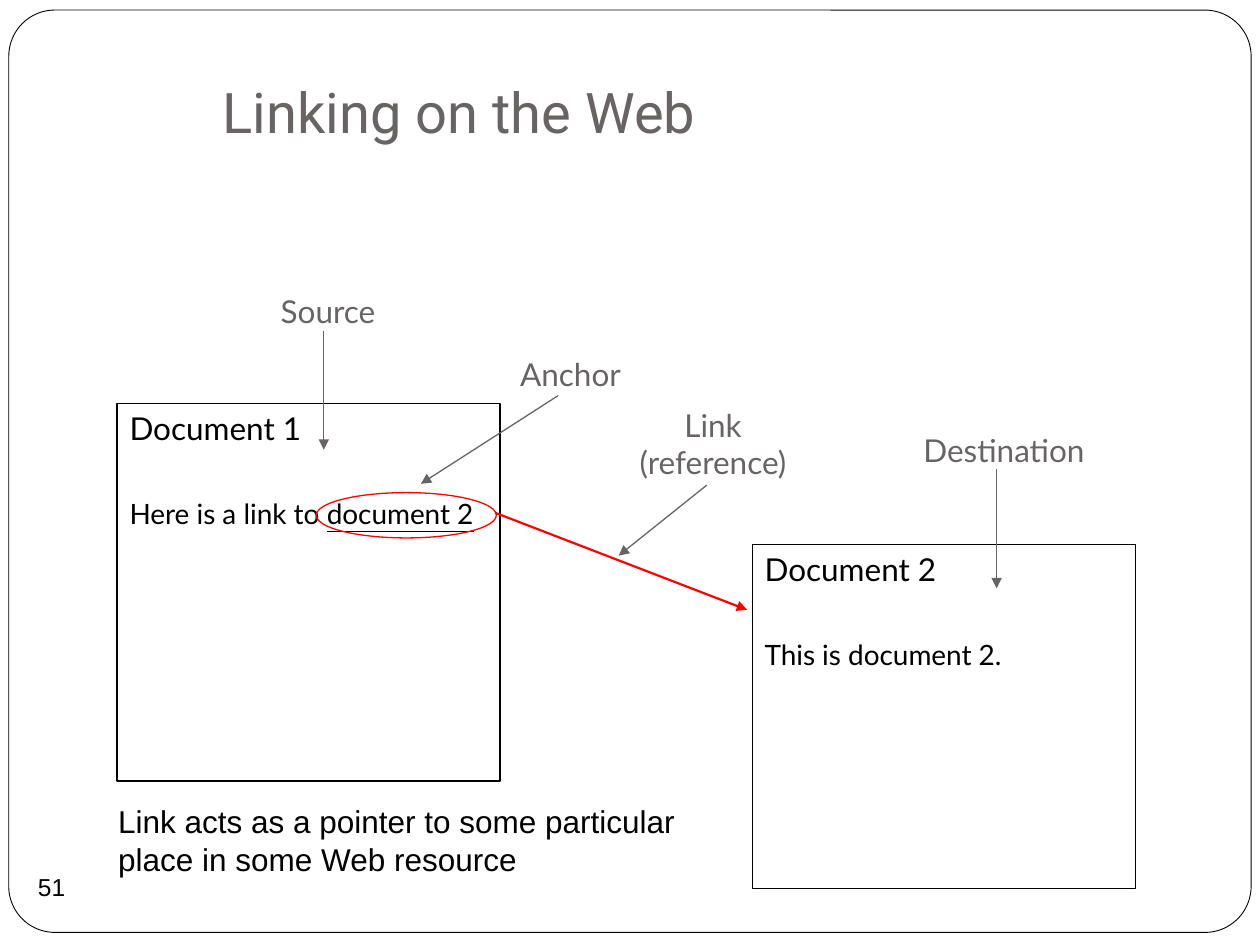
from lxml import etree
from pptx import Presentation
from pptx.dml.color import RGBColor
from pptx.enum.shapes import MSO_CONNECTOR, MSO_SHAPE
from pptx.enum.text import MSO_ANCHOR, PP_ALIGN
from pptx.oxml.ns import qn
from pptx.util import Inches, Pt

LINE = MSO_CONNECTOR.STRAIGHT
RECT = MSO_SHAPE.RECTANGLE
ROUND = MSO_SHAPE.ROUNDED_RECTANGLE
OVAL = MSO_SHAPE.OVAL
LEFT, CENTER = PP_ALIGN.LEFT, PP_ALIGN.CENTER
TOP, MIDDLE, BOTTOM = MSO_ANCHOR.TOP, MSO_ANCHOR.MIDDLE, MSO_ANCHOR.BOTTOM

COLORS = {"black": "000000", "white": "FFFFFF", "gray": "696464", "red": "FF0000"}
DOC_W = 3.04


def color(name):
    return RGBColor.from_string(COLORS[name])


def add_run(para, text, size=18, font="Lato", tint="black", under=None):
    run = para.add_run()
    run.text = text
    run.font.size = Pt(size)
    run.font.name = font
    run.font.color.rgb = color(tint)
    run.font.underline = under


def set_frame(frame, anchor=TOP, foot=0.05, wrap=True):
    frame.word_wrap = wrap
    frame.vertical_anchor = anchor
    frame.margin_left = frame.margin_right = Inches(0.1)
    frame.margin_top, frame.margin_bottom = Inches(0.05), Inches(foot)


def add_text(slide, text, x, y, w, h, align=LEFT, anchor=TOP, foot=0.05, wrap=True, **style):
    box = slide.shapes.add_textbox(Inches(x), Inches(y), Inches(w), Inches(h))
    set_frame(box.text_frame, anchor, foot, wrap)
    para = box.text_frame.paragraphs[0]
    para.alignment = align
    add_run(para, text, **style)


def add_shape(slide, kind, x, y, w, h, line="black", width=0.75, fill=None):
    shape = slide.shapes.add_shape(kind, Inches(x), Inches(y), Inches(w), Inches(h))
    shape.shadow.inherit = False
    if fill:
        shape.fill.solid()
        shape.fill.fore_color.rgb = color(fill)
    else:
        shape.fill.background()
    shape.line.color.rgb = color(line)
    shape.line.width = Pt(width)
    return shape


def add_doc(slide, x, y, h, title, body, link=None):
    frame = add_shape(slide, RECT, x, y, DOC_W, h).text_frame
    set_frame(frame)
    head = frame.paragraphs[0]
    head.alignment = LEFT
    add_run(head, title)
    para = frame.add_paragraph()
    para.alignment = LEFT
    para.space_before = Pt(28)
    add_run(para, body, size=16)
    if link:
        add_run(para, link, size=16, under=True)


def add_arrow(slide, x1, y1, x2, y2, tint="gray", width=0.75):
    arrow = slide.shapes.add_connector(LINE, Inches(x1), Inches(y1), Inches(x2), Inches(y2))
    arrow.line.color.rgb = color(tint)
    arrow.line.width = Pt(width)
    etree.SubElement(arrow.line._get_or_add_ln(), qn("a:tailEnd"), type="triangle")
    etree.SubElement(arrow._element.spPr, qn("a:effectLst"))


def main():
    deck = Presentation()
    deck.slide_width, deck.slide_height = Inches(10), Inches(7.5)
    slide = deck.slides.add_slide(deck.slide_layouts[6])

    border = add_shape(slide, ROUND, 0.07, 0.08, 9.86, 7.32, width=0.5, fill="white")
    border.adjustments[0] = 0.05
    add_text(slide, "Linking on the Web", 1.67, 0.62, 7.67, 0.63,
             anchor=BOTTOM, foot=0.1, size=32, font="Roboto", tint="gray")
    add_text(slide, "51", 0.16, 6.79, 0.5, 0.5, align=CENTER, anchor=MIDDLE,
             wrap=False, size=14, font="Arial")

    add_doc(slide, 0.93, 3.2, 3, "Document 1", "Here is a link to ", "document 2")
    add_shape(slide, OVAL, 2.51, 3.91, 1.43, 0.36, line="red")
    add_doc(slide, 5.97, 4.32, 2.73, "Document 2", "This is document 2.")
    add_arrow(slide, 3.93, 4.07, 5.93, 4.84, tint="red", width=1.25)

    labels = [
        ("Source", (2.13, 2.27, 1.33, 0.4), LEFT, (2.57, 2.63, 2.57, 3.57)),
        ("Anchor", (4.03, 2.77, 1.33, 0.4), LEFT, (4.43, 3.14, 3.34, 3.84)),
        ("Link (reference)", (4.83, 3.17, 1.66, 0.7), CENTER, (5.61, 3.85, 4.91, 4.41)),
        ("Destination", (7.23, 3.37, 1.6, 0.4), LEFT, (7.91, 3.72, 7.91, 4.67)),
    ]
    for text, place, align, ends in labels:
        add_text(slide, text, *place, align=align, tint="gray")
        add_arrow(slide, *ends)

    add_text(slide, "Link acts as a pointer to some particular place in some Web resource",
             0.84, 6.32, 5, 0.7, font="Arial")
    deck.save("out.pptx")


if __name__ == "__main__":
    main()
